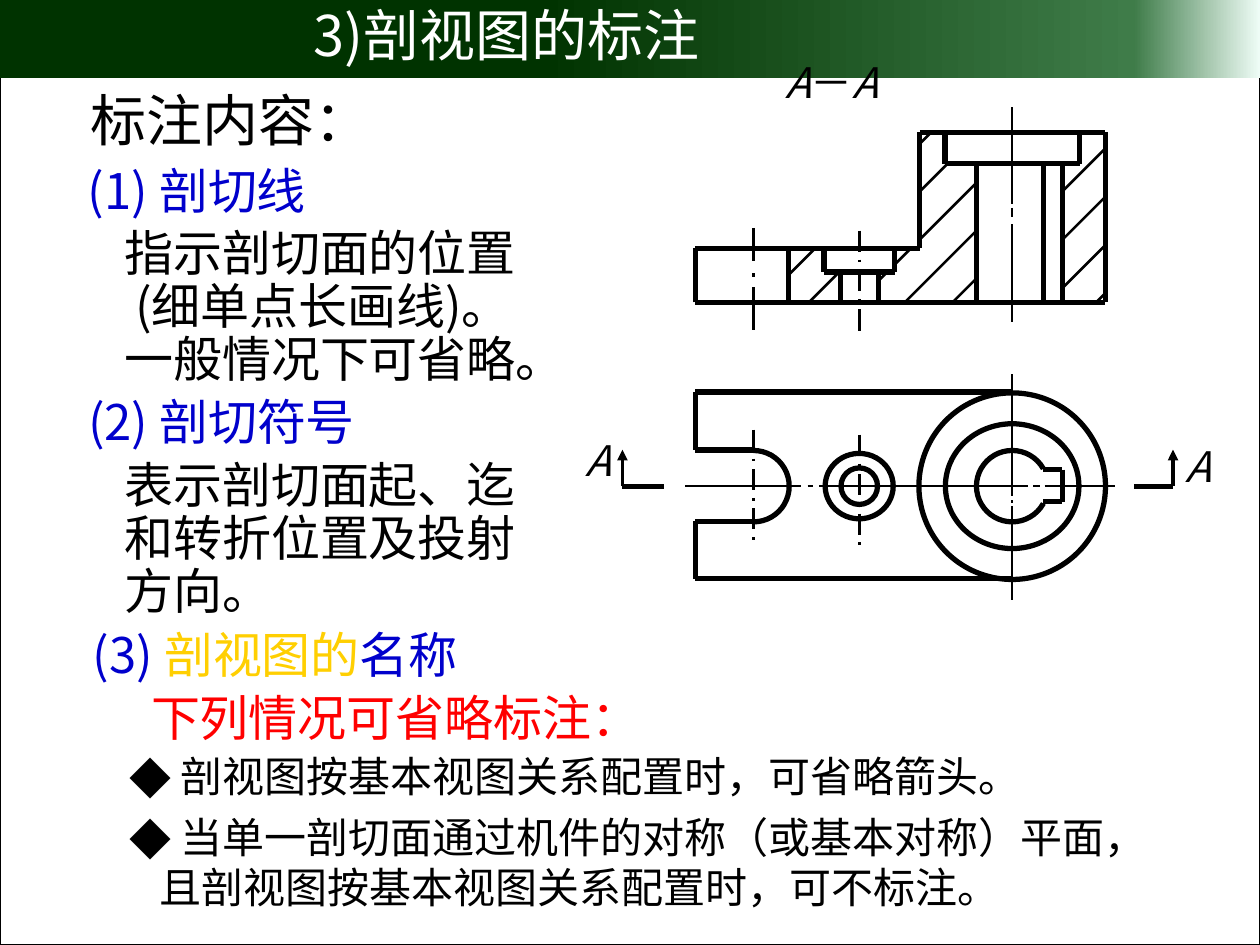
from copy import deepcopy

from lxml import etree
from pptx import Presentation
from pptx.dml.color import RGBColor
from pptx.enum import dml, shapes, text
from pptx.oxml.ns import qn
from pptx.util import Pt

FONT = "Noto Sans CJK SC"
COLORS = {
    "black": "000000", "white": "FFFFFF", "blue": "0000CC", "red": "FF0000",
    "gold": "FFCF01", "forest": "003300", "green": "3F7C49", "mint": "EEFCF6",
}


def add_span(para, words, size, color, italic=False):
    span = para.add_run()
    span.text = words
    span.font.size = Pt(size)
    span.font.name = FONT
    span.font.italic = italic
    span.font.color.rgb = RGBColor.from_string(COLORS[color])
    etree.SubElement(span.font._element, qn("a:ea"), typeface=FONT)


def add_line(group, x1, y1, x2, y2, width):
    line = group.shapes.add_connector(shapes.MSO_CONNECTOR.STRAIGHT, Pt(x1), Pt(y1), Pt(x2), Pt(y2))
    line.line.color.rgb = RGBColor.from_string(COLORS["black"])
    line.line.width = Pt(width)
    etree.SubElement(line.element.spPr, qn("a:effectLst"))
    return line


deck = Presentation()
deck.slide_width, deck.slide_height = Pt(720), Pt(540)
page = deck.slides.add_slide(deck.slide_layouts[1])
title, body = page.placeholders[0], page.placeholders[1]

# Page frame and title band, behind the title
frame = page.shapes.add_shape(shapes.MSO_SHAPE.RECTANGLE, 0, 0, Pt(720), Pt(540))
frame.shadow.inherit = False
frame.fill.background()
frame.line.color.rgb = RGBColor.from_string(COLORS["black"])
frame.line.width = Pt(0.75)
band = page.shapes.add_shape(shapes.MSO_SHAPE.RECTANGLE, 0, Pt(-1.4), Pt(720), Pt(46))
band.shadow.inherit = False
band.line.fill.background()
band.fill.gradient()
band.fill.gradient_angle = 0
first_stop = band.element.spPr.find(".//" + qn("a:gs"))
first_stop.addnext(deepcopy(first_stop))
stops = [(0.43, "forest"), (0.9, "green"), (1, "mint")]
for stop, (position, color) in zip(band.fill.gradient_stops, stops):
    stop.position = position
    stop.color.rgb = RGBColor.from_string(COLORS[color])
for shape in (frame, band):
    title.element.addprevious(shape.element)

# Title
title.left, title.top, title.width, title.height = Pt(172), Pt(-3.6), Pt(252), Pt(45.4)
title.text_frame.auto_size = text.MSO_AUTO_SIZE.NONE
title.text_frame.vertical_anchor = text.MSO_ANCHOR.TOP
title.text_frame.paragraphs[0].alignment = text.PP_ALIGN.LEFT
add_span(title.text_frame.paragraphs[0], "3)剖视图的标注", 32, "white")

# Cases where the marking may be left out: words, left margin, hanging bullet, space before
cases = [
    ("剖视图按基本视图关系配置时，可省略箭头。", 29, True, 0),
    ("当单一剖切面通过机件的对称（或基本对称）平面，", 29, True, 5.8),
    ("且剖视图按基本视图关系配置时，可不标注。", 17, False, 0),
]
body.left, body.top, body.width, body.height = Pt(67), Pt(425.5), Pt(653), Pt(100)
body.text_frame.auto_size = text.MSO_AUTO_SIZE.NONE
for number, (words, margin, bulleted, before) in enumerate(cases):
    para = body.text_frame.add_paragraph() if number else body.text_frame.paragraphs[0]
    para.space_before = Pt(before)
    properties = para._p.get_or_add_pPr()
    properties.set("marL", str(Pt(margin)))
    properties.set("indent", str(Pt(-margin if bulleted else 0)))
    if bulleted:
        etree.SubElement(properties, qn("a:buFont"), typeface=FONT)
        etree.SubElement(properties, qn("a:buChar"), char="◆")
    else:
        etree.SubElement(properties, qn("a:buNone"))
    add_span(para, words, 24, "black")

# Text boxes: left, top, width, height, size, line spacing, paragraphs of (words, color)
boxes = [
    (44.6, 45.4, 174, 45.4, 32, 1, [[("标注内容：", "black")]]),
    (43.2, 92.2, 205, 37.4, 28, 0.9, [[("(1) 剖切线", "blue")]]),
    (64, 127.4, 282, 98, 28, 0.9, [[("指示剖切面的位置", "black")],
                                   [("(细单点长画线)。", "black")],
                                   [("一般情况下可省略。", "black")]]),
    (43.2, 224, 217, 37.4, 28, 0.9, [[("(2) 剖切符号", "blue")]]),
    (64, 260, 271, 98, 28, 0.9, [[("表示剖切面起、迄", "black")],
                                 [("和转折位置及投射", "black")],
                                 [("方向。", "black")]]),
    (46, 353.5, 240, 41, 28, 1, [[("(3) ", "blue"), ("剖视图的", "gold"), ("名称", "blue")]]),
    (79.2, 389.5, 294.5, 41, 28, 1, [[("下列情况可省略标注：", "red")]]),
]
for left, top, width, height, size, spacing, paragraphs in boxes:
    box = page.shapes.add_textbox(Pt(left), Pt(top), Pt(width), Pt(height))
    box.text_frame.word_wrap = len(paragraphs) > 1
    for number, spans in enumerate(paragraphs):
        para = box.text_frame.add_paragraph() if number else box.text_frame.paragraphs[0]
        para.line_spacing = spacing
        if spans[0][0].startswith("(细"):
            para._p.get_or_add_pPr().set("marL", str(Pt(6.3)))
        for words, color in spans:
            add_span(para, words, size, color)

# View name and section letters
labels = [(334.8, 248.4, 11.5, "A"), (448.6, 32.4, 139.7, "A－A"), (677.5, 252, 11.5, "A")]
for left, top, width, words in labels:
    box = page.shapes.add_textbox(Pt(left), Pt(top), Pt(width), Pt(28.8))
    frame_text = box.text_frame
    frame_text.word_wrap = len(words) > 1
    frame_text.margin_left = frame_text.margin_right = 0
    frame_text.margin_top = frame_text.margin_bottom = 0
    for letter in words:
        add_span(frame_text.paragraphs[0], letter, 24, "black", letter == "A")

# Shared positions of the part in both views
LEFT, SLOT_X, WEB, HOLE_X, BOSS, BORE_X, KEY, RIGHT = 397.4, 430.6, 450.7, 491, 525.6, 578.4, 607, 631.6
BOSS_TOP, SEAT, ARM_TOP, STEP, BASE = 75.6, 93.6, 141.8, 155.5, 172.8
BACK, SLOT_TOP, AXIS, SLOT_BOTTOM, FRONT = 224, 257.2, 277.8, 298, 330.6
BORE, KEY_TOP, KEY_BOTTOM = 596.2, 268.4, 286.6
drawing = page.shapes.add_group_shape()

outlines = [
    # section view, verticals
    (BOSS, ARM_TOP, BOSS, BOSS_TOP), (RIGHT, BASE, RIGHT, BOSS_TOP),
    (540, SEAT, 540, BOSS_TOP), (617, SEAT, 617, BOSS_TOP),
    (BORE, BASE, BORE, SEAT), (558, BASE, 558, SEAT), (KEY, BASE, KEY, SEAT),
    (WEB, BASE, WEB, ARM_TOP), (LEFT, BASE, LEFT, ARM_TOP),
    (511.2, STEP, 511.2, ARM_TOP), (470.9, STEP, 470.9, ARM_TOP),
    (501.8, BASE, 501.8, STEP), (480.2, BASE, 480.2, STEP),
    # section view, horizontals
    (LEFT, BASE, RIGHT, BASE), (LEFT, ARM_TOP, BOSS, ARM_TOP), (470.9, STEP, 511.2, STEP),
    (BOSS, BOSS_TOP, RIGHT, BOSS_TOP), (540, SEAT, 617, SEAT),
    # top view
    (LEFT, FRONT, BORE_X, FRONT), (LEFT, FRONT, LEFT, SLOT_BOTTOM),
    (LEFT, SLOT_BOTTOM, SLOT_X, SLOT_BOTTOM), (LEFT, BACK, BORE_X, BACK),
    (LEFT, BACK, LEFT, SLOT_TOP), (LEFT, SLOT_TOP, SLOT_X, SLOT_TOP),
    (KEY, KEY_TOP, KEY, KEY_BOTTOM), (BORE, KEY_TOP, KEY, KEY_TOP),
    (BORE, KEY_BOTTOM, KEY, KEY_BOTTOM),
]
for ends in outlines:
    add_line(drawing, *ends, 3)

# Centre lines drawn dash by dash
for x, dashes in [
    (SLOT_X, [(130.3, 149), (156.2, 158.4), (164.2, 188.6)]),
    (BORE_X, [(61.2, 116.6), (118.8, 123.8), (128.2, 184.3),
              (213.8, 283.7), (285.8, 287.3), (289.4, 342.7)]),
]:
    for start, end in dashes:
        add_line(drawing, x, start, x, end, 1.5)
for start, end in [(391.7, 457.9), (461.5, 464.4), (468, 587.5), (590.4, 594), (596.9, 637.2)]:
    add_line(drawing, start, AXIS, end, AXIS, 1.5)
for x, start, end in [(HOLE_X, 131.8, 189.4), (HOLE_X, 248.4, 312.5), (SLOT_X, 245.5, 311.8)]:
    add_line(drawing, x, start, x, end, 1.5).line.dash_style = dml.MSO_LINE.LONG_DASH_DOT

# Hatching at 45 degrees: left end, lower end, rise
hatching = [
    (BOSS, 82.1, 6.5), (WEB, 157, 15.1), (462.2, BASE, 17.3), (BOSS, 109.4, 15.8),
    (501.8, 160.6, 5), (BOSS, 136.8, 32.8), (511.2, 151.2, 9.4), (517, BASE, 41.2),
    (544.3, BASE, 13.7), (626.4, BASE, 5),
] + [(KEY, 109.4 + 27.7 * row, 24.5) for row in range(3)]
for x, y, rise in hatching:
    add_line(drawing, x, y, x + rise, y - rise, 1.5)

# Circles and arcs of the top view: centre x, width, height, arc angles
rounds = [
    (BORE_X, 106.6, 106.6, None), (BORE_X, 76.3, 71.3, None),
    (HOLE_X, 20.9, 20.9, None), (HOLE_X, 38.9, 37.4, None),
    (BORE_X, 40.8, 40.8, (29, 331)), (SLOT_X, 40.8, 40.8, (270, 90)),
]
for x, width, height, angles in rounds:
    kind = shapes.MSO_SHAPE.ARC if angles else shapes.MSO_SHAPE.OVAL
    curve = drawing.shapes.add_shape(kind, Pt(x - width / 2), Pt(AXIS - height / 2), Pt(width), Pt(height))
    for index, angle in enumerate(angles or ()):
        curve.adjustments[index] = angle * 0.6
    curve.shadow.inherit = False
    curve.fill.background()
    curve.line.color.rgb = RGBColor.from_string(COLORS["black"])
    curve.line.width = Pt(3)

# Cutting plane marks with viewing arrows
marks = page.shapes.add_group_shape()
for start, end, arrow_x in [(355.7, 379.4, 355.7), (648, 670.3, 670.3)]:
    add_line(marks, start, AXIS, end, AXIS, 3)
    arrow = add_line(marks, arrow_x, AXIS, arrow_x, 257, 0)
    etree.SubElement(arrow.line._ln, qn("a:tailEnd"), type="triangle")

deck.save("out.pptx")
